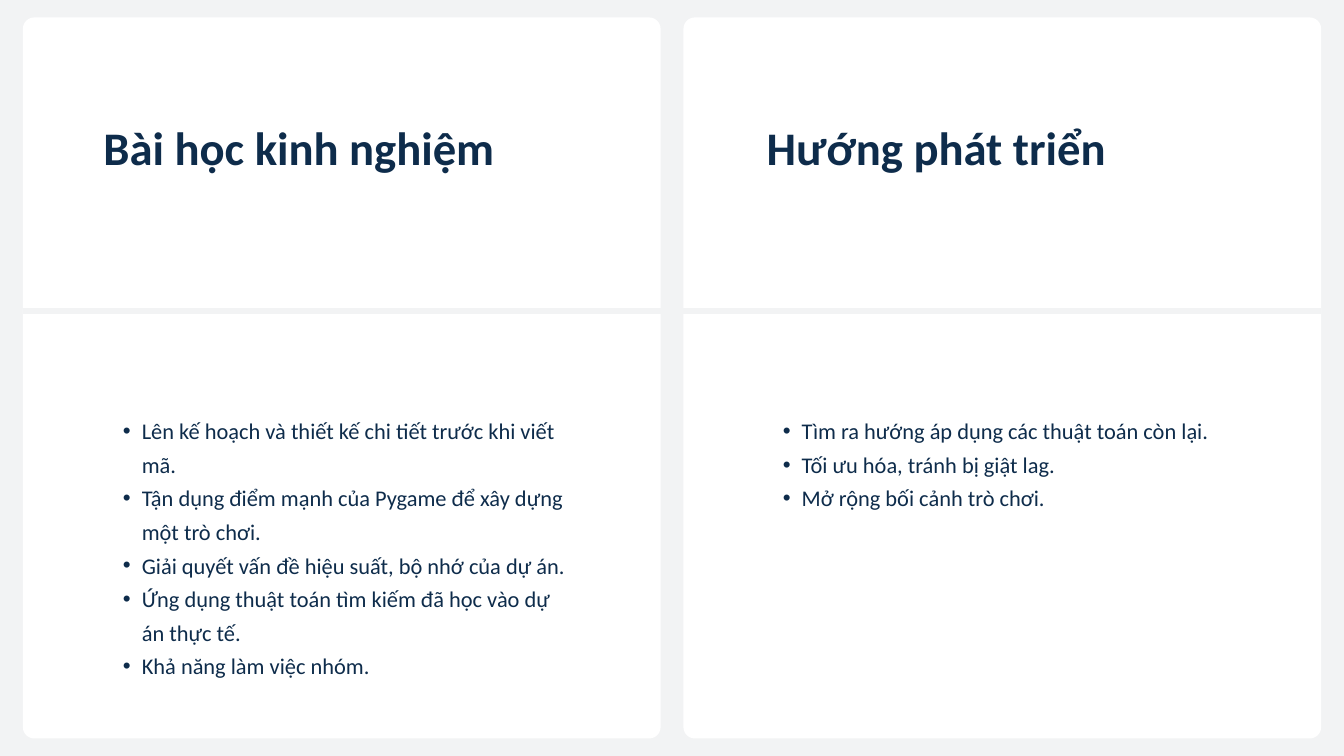
from lxml import etree
from pptx import Presentation
from pptx.dml.color import RGBColor
from pptx.enum.shapes import MSO_CONNECTOR as Connector, MSO_SHAPE as Shape
from pptx.oxml.ns import qn
from pptx.util import Inches, Pt

COLORS = {"background": "F2F3F4", "card": "FFFFFF", "text": "0E2C4B"}
FONT = "Calibri"

CARD_TOP, CARD_WIDTH, CARD_HEIGHT = 0.26, 9.49, 10.73
CARD_RADIUS = 0.17
DIVIDER_Y = 4.63
TEXT_WIDTH = 7.01

# card left, heading left, list left, list height, heading, points
COLUMNS = [
    (0.34, 1.54, 1.54, 4.48, "Bài học kinh nghiệm", [
        "Lên kế hoạch và thiết kế chi tiết trước khi viết mã.",
        "Tận dụng điểm mạnh của Pygame để xây dựng một trò chơi.",
        "Giải quyết vấn đề hiệu suất, bộ nhớ của dự án.",
        "Ứng dụng thuật toán tìm kiếm đã học vào dự án thực tế.",
        "Khả năng làm việc nhóm.",
    ]),
    (10.17, 11.41, 11.36, 1.98, "Hướng phát triển", [
        "Tìm ra hướng áp dụng các thuật toán còn lại.",
        "Tối ưu hóa, tránh bị giật lag.",
        "Mở rộng bối cảnh trò chơi.",
    ]),
]


def color(name):
    return RGBColor.from_string(COLORS[name])


class SlideBuilder:
    def __init__(self, slide):
        self.slide = slide
        self.shapes = slide.shapes

    def background(self):
        fill = self.slide.background.fill
        fill.solid()
        fill.fore_color.rgb = color("background")

    def card(self, left):
        card = self.shapes.add_shape(
            Shape.ROUNDED_RECTANGLE, Inches(left), Inches(CARD_TOP),
            Inches(CARD_WIDTH), Inches(CARD_HEIGHT))
        card.adjustments[0] = CARD_RADIUS / CARD_WIDTH
        card.shadow.inherit = False
        card.fill.solid()
        card.fill.fore_color.rgb = color("card")
        card.line.fill.background()

    def divider(self, left):
        y = Inches(DIVIDER_Y)
        divider = self.shapes.add_connector(
            Connector.STRAIGHT, Inches(left), y, Inches(left + CARD_WIDTH), y)
        divider.line.color.rgb = color("background")
        divider.line.width = Pt(6)
        etree.SubElement(divider._element.spPr, qn("a:effectLst"))

    def text_frame(self, left, top, height):
        """Add a wrapping text box without insets and return its frame."""
        box = self.shapes.add_textbox(
            Inches(left), Inches(top), Inches(TEXT_WIDTH), Inches(height))
        frame = box.text_frame
        frame.word_wrap = True
        frame.margin_left = frame.margin_right = 0
        frame.margin_top = frame.margin_bottom = 0
        return frame

    def format_paragraph(self, paragraph, size, spacing, bold=False):
        paragraph.line_spacing = Pt(spacing)
        for run in paragraph.runs:
            run.font.name = FONT
            run.font.size = Pt(size)
            run.font.bold = bold
            run.font.color.rgb = color("text")

    def heading(self, left, text):
        frame = self.text_frame(left, 1.77, 0.83)
        frame.text = text
        self.format_paragraph(frame.paragraphs[0], 50, 60, bold=True)

    def bullet_list(self, left, height, points):
        frame = self.text_frame(left, 6.11, height)
        frame.text = "\n".join(points)
        for paragraph in frame.paragraphs:
            paragraph.level = 1
            properties = paragraph._p.get_or_add_pPr()
            properties.set("marL", str(Inches(0.57)))
            properties.set("indent", str(Inches(-0.28)))
            etree.SubElement(properties, qn("a:buFont"), typeface="Arial")
            etree.SubElement(properties, qn("a:buChar"), char="•")
            self.format_paragraph(paragraph, 24, 36)


def main():
    deck = Presentation()
    deck.slide_width, deck.slide_height = Inches(20), Inches(11.25)
    builder = SlideBuilder(deck.slides.add_slide(deck.slide_layouts[6]))
    builder.background()
    for card_left, heading_left, list_left, list_height, heading, points in COLUMNS:
        builder.card(card_left)
        builder.heading(heading_left, heading)
        builder.divider(card_left)
        builder.bullet_list(list_left, list_height, points)
    deck.save("out.pptx")


if __name__ == "__main__":
    main()
